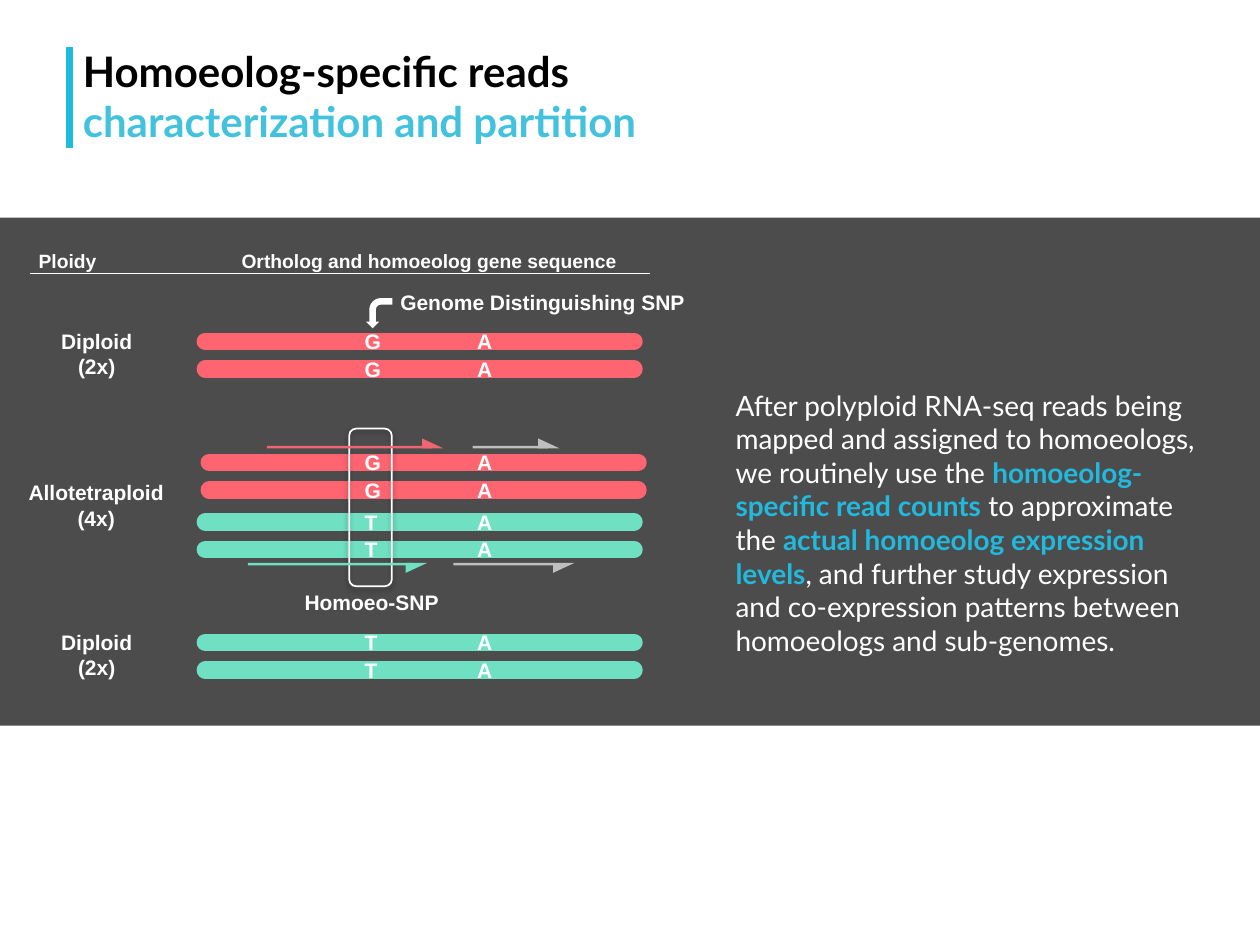
from dataclasses import dataclass

from lxml import etree
from pptx import Presentation
from pptx.dml.color import RGBColor
from pptx.enum import shapes, text
from pptx.oxml import ns
from pptx.util import Cm, Pt

BLACK = RGBColor(0x00, 0x00, 0x00)
WHITE = RGBColor(0xFF, 0xFF, 0xFF)
BLUE = RGBColor(0x21, 0xB9, 0xDE)
SKY = RGBColor(0x43, 0xC2, 0xDE)
RED = RGBColor(0xFF, 0x65, 0x70)
ROSE = RGBColor(0xEF, 0x65, 0x71)
MINT = RGBColor(0x6F, 0xE0, 0xC2)
GREY = RGBColor(0xBF, 0xBF, 0xBF)

KIND = shapes.MSO_SHAPE
LEFT, MID = text.PP_ALIGN.LEFT, text.PP_ALIGN.CENTER


@dataclass
class Pair:
    """Two copies of one gene, with the base at the SNP."""
    left: float
    top: float
    base: str
    color: RGBColor


@dataclass
class Read:
    """A half-headed arrow that shows a sequence read."""
    left: float
    size: float
    tip: float
    color: RGBColor
    above: bool


@dataclass
class Label:
    left: float
    top: float
    width: float
    height: float
    lines: list
    size: float = 12
    align: int = LEFT


PAIRS = [
    Pair(4.14, 6.88, "G", RED),
    Pair(4.14, 12.95, "T", MINT),
    Pair(4.14, 10.52, "T", MINT),
    Pair(4.22, 9.32, "G", RED),
]
READS = [
    Read(5.38, 3.33, 8.94, ROSE, True),
    Read(5.0, 3.33, 8.61, MINT, False),
    Read(9.14, 2.03, 11.58, GREY, False),
    Read(9.53, 1.52, 11.28, GREY, True),
]
LABELS = [
    Label(0.96, 6.5, 1.98, 1.27, ["Diploid", "(2x)"], align=MID),
    Label(0.3, 9.55, 3.28, 1.27, ["Allotetraploid", "(4x)"], align=MID),
    Label(0.96, 12.57, 1.98, 1.27, ["Diploid", "(2x)"], align=MID),
    Label(7.82, 5.72, 6.32, 0.76, ["Genome Distinguishing SNP"]),
    Label(0.53, 4.9, 1.68, 0.74, ["Ploidy"], 11),
    Label(4.62, 4.9, 8.13, 0.74, ["Ortholog and homoeolog gene sequence"], 11),
    Label(5.89, 11.76, 3.25, 0.76, ["Homoeo-SNP"]),
]


def write(slide, paras: list, left: float, top: float, width: float,
          height: float, size: float = 12, font: str = "Arial",
          align: int = LEFT, wrap: bool = False, middle: bool = False):
    """Each paragraph is a list of (words, color, bold) runs."""
    box = slide.shapes.add_textbox(Cm(left), Cm(top), Cm(width), Cm(height))
    frame = box.text_frame
    frame.word_wrap = wrap
    frame.auto_size = text.MSO_AUTO_SIZE.SHAPE_TO_FIT_TEXT
    if middle:
        frame.vertical_anchor = text.MSO_ANCHOR.MIDDLE
    for i, runs in enumerate(paras):
        para = frame.add_paragraph() if i else frame.paragraphs[0]
        para.alignment = align
        for words, color, bold in runs:
            run = para.add_run()
            run.text = words
            run.font.name, run.font.size = font, Pt(size)
            run.font.bold = bold
            run.font.color.rgb = color


def shape(slide, kind: int, left: float, top: float, width: float,
          height: float, color: RGBColor = None, flip: bool = False):
    item = slide.shapes.add_shape(kind, Cm(left), Cm(top), Cm(width), Cm(height))
    item.shadow.inherit = False
    item.line.fill.background()
    if color is None:
        item.fill.background()
    else:
        item.fill.solid()
        item.fill.fore_color.rgb = color
    if flip:
        item._element.spPr.xfrm.set("flipV", "1")
    return item


def line(slide, x1: float, y1: float, x2: float, y2: float,
         color: RGBColor, width: float, cap: str = "flat") -> None:
    item = slide.shapes.add_connector(
        shapes.MSO_CONNECTOR.STRAIGHT, Cm(x1), Cm(y1), Cm(x2), Cm(y2))
    item.line.color.rgb = color
    item.line.width = Pt(width)
    item.line._get_or_add_ln().set("cap", cap)
    etree.SubElement(item._element.spPr, ns.qn("a:effectLst"))


def draw_pair(slide, pair: Pair) -> None:
    for y in (pair.top, pair.top + 0.56):
        line(slide, pair.left, y, pair.left + 8.64, y, pair.color, 10, "rnd")
        for base, mid in (("A", 9.78), (pair.base, 7.51)):
            write(slide, [[(base, WHITE, True)]], mid - 0.41, y - 0.38,
                  0.82, 0.76, middle=True)


def draw_read(slide, read: Read) -> None:
    top = 8.84 if read.above else 11.35
    shape(slide, KIND.RIGHT_TRIANGLE, read.tip - 0.43, top, 0.43, 0.2,
          read.color, not read.above)
    shaft = top + 0.15 if read.above else top
    shape(slide, KIND.RECTANGLE, read.left, shaft, read.size, 0.05, read.color)


def draw_frame(slide) -> None:
    """Outline around the SNP column, with a soft shadow."""
    item = shape(slide, KIND.ROUNDED_RECTANGLE, 7.04, 8.64, 0.86, 3.18)
    item.line.color.rgb = WHITE
    item.line.width = Pt(1)
    effects = item._element.spPr.find(ns.qn("a:effectLst"))
    glow = etree.SubElement(
        effects, ns.qn("a:outerShdw"), blurRad=str(Pt(3.1)),
        dist=str(Pt(1.8)), dir="5400000", rotWithShape="0")
    tint = etree.SubElement(glow, ns.qn("a:srgbClr"), val=str(BLACK))
    etree.SubElement(tint, ns.qn("a:alpha"), val="35000")


def main() -> None:
    deck = Presentation()
    deck.slide_width, deck.slide_height = Cm(25.4), Cm(19.05)
    slide = deck.slides.add_slide(deck.slide_layouts[6])

    # Dark band
    band = shape(slide, KIND.RECTANGLE, 0, 4.39, 25.4, 10.24, BLACK)
    tint = band._element.spPr.find(".//" + ns.qn("a:srgbClr"))
    etree.SubElement(tint, ns.qn("a:alpha"), val="70000")

    # Title
    write(slide, [[("Homoeolog-specific reads", BLACK, True)],
                  [("characterization and partition", SKY, True)]],
          1.42, 0.79, 14.38, 2.31, size=24, font="Lato", wrap=True)
    line(slide, 1.4, 0.95, 1.4, 2.99, BLUE, 4)

    # Explanation
    write(slide, [[
        ("After polyploid RNA-seq reads being mapped and assigned to "
         "homoeologs, we routinely use the ", WHITE, False),
        ("homoeolog-specific read counts", BLUE, True),
        (" to approximate the ", WHITE, False),
        ("actual homoeolog expression levels", BLUE, True),
        (", and further study expression and co-expression patterns "
         "between homoeologs and sub-genomes.", WHITE, False),
    ]], 14.58, 7.7, 9.83, 6.4, size=16, font="Lato", wrap=True)

    # Labels and header rule
    for tag in LABELS:
        write(slide, [[(words, WHITE, True)] for words in tag.lines],
              tag.left, tag.top, tag.width, tag.height,
              size=tag.size, align=tag.align)
    line(slide, 0.61, 5.51, 13.11, 5.51, WHITE, 0.4)

    # Pointer to the SNP
    bend = shape(slide, KIND.BENT_ARROW, 7.34, 6.05, 0.61, 0.53, WHITE, True)
    bend.rotation = 90

    # Genes, SNP frame and reads
    for pair in PAIRS:
        draw_pair(slide, pair)
    draw_frame(slide)
    for read in READS:
        draw_read(slide, read)

    deck.save("out.pptx")


if __name__ == "__main__":
    main()
